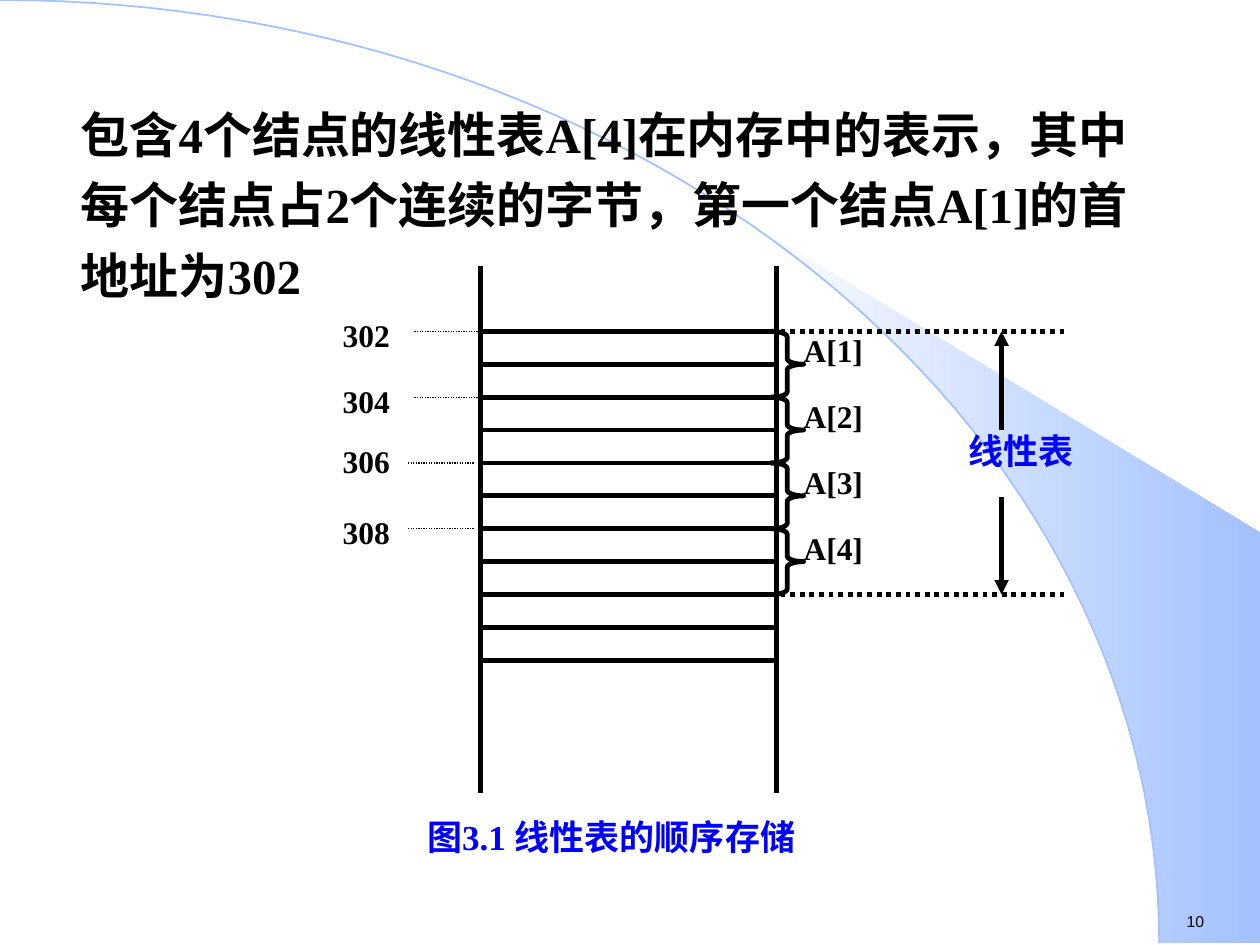
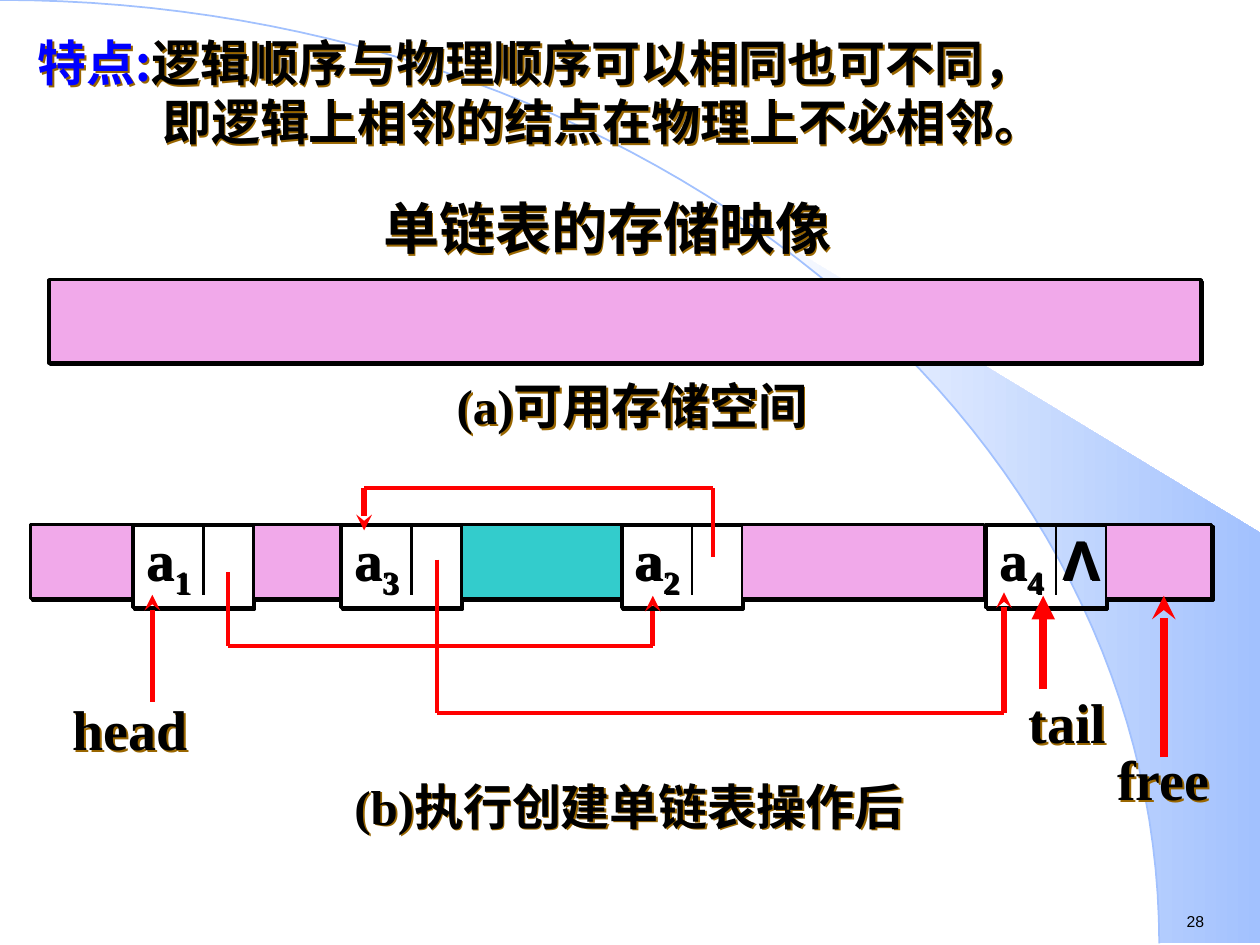
from dataclasses import dataclass
from math import asin, cos, pi, sin
from typing import Any, NamedTuple

from lxml.etree import SubElement
from pptx import Presentation
from pptx.dml.color import RGBColor
from pptx.enum.dml import MSO_LINE
from pptx.enum.shapes import MSO_CONNECTOR, MSO_SHAPE
from pptx.enum.text import MSO_ANCHOR, MSO_AUTO_SIZE, PP_ALIGN
from pptx.oxml.ns import qn
from pptx.util import Cm, Pt

BLACK, BLUE, RED = "000000", "0000FF", "FF0000"
SKY, WHITE, PINK, TEAL, BROWN = "A2C1FE", "FFFFFF", "F1A9EA", "33CCCC", "996600"
SERIF, SANS, HAN = "Times New Roman", "Arial", "Noto Sans CJK SC"
WIDE, HIGH = 25.4, 19.05
ARC_X, ARC_Y = 23.37, 19.02
PLAIN = dict(margin_left=0, margin_right=0, margin_top=0, margin_bottom=0)
PADDED = dict(margin_left=Cm(0.25), margin_right=Cm(0.25),
              margin_top=Cm(0.13), margin_bottom=Cm(0.13))
CENTER = dict(alignment=PP_ALIGN.CENTER)


class Box(NamedTuple):
    """Place and size in centimetres."""
    x: float
    y: float
    w: float
    h: float


class Run(NamedTuple):
    """A piece of text with its look."""
    text: str
    size: float = 18
    color: str = BLACK
    font: str = SERIF
    bold: bool = True
    base: int = 0


@dataclass
class Node:
    """A list node with its subscript and an optional end mark."""
    x: float
    sub: str
    mark: str = ""


@dataclass
class Cell:
    """A filled stretch of memory."""
    x: float
    w: float
    color: str = PINK


@dataclass
class Link:
    """A route of straight lines that ends in an arrowhead."""
    stops: list[tuple[float, float]]
    width: float = 3
    head: str = "stealth"


def ink(code: str) -> RGBColor:
    """Turn a hex string into a colour."""
    return RGBColor.from_string(code)


def put(item: Any, values: dict) -> None:
    """Set every attribute named in the dict."""
    for name, value in values.items():
        setattr(item, name, value)


def place(shape: Any, box: Box) -> None:
    """Move and size a shape."""
    put(shape, dict(zip(("left", "top", "width", "height"), map(Cm, box))))


def shade(shape: Any, color: str) -> None:
    """Give a shape a small hard shadow to the lower right."""
    shape.shadow.inherit = False
    effects = shape._element.spPr.find(qn("a:effectLst"))
    outer = SubElement(effects, qn("a:outerShdw"), dist="17780", dir="2700000",
                       algn="ctr", rotWithShape="0")
    SubElement(outer, qn("a:srgbClr"), val=color)


def write(shape: Any, runs: list[Run], frame: dict = PLAIN, para: dict = {},
          indent: tuple[float, float] = (0, 0), tab: float = 0) -> None:
    """Fill a shape with one formatted paragraph."""
    text = shape.text_frame
    put(text, dict(word_wrap=True, auto_size=MSO_AUTO_SIZE.NONE,
                   vertical_anchor=MSO_ANCHOR.TOP) | frame)
    line = text.paragraphs[0]
    props = line._p.get_or_add_pPr()
    props.set("marL", str(Cm(indent[0])))
    props.set("indent", str(Cm(indent[1])))
    SubElement(props, qn("a:buNone"))
    if tab:
        stops = SubElement(props, qn("a:tabLst"))
        SubElement(stops, qn("a:tab"), pos=str(Cm(tab)), algn="l")
    put(line, dict(alignment=PP_ALIGN.LEFT, space_before=Pt(0)) | para)
    for part in runs:
        run = line.add_run()
        run.text = part.text
        put(run.font, dict(size=Pt(part.size), bold=part.bold, name=part.font))
        run.font.color.rgb = ink(part.color)
        look = run._r.get_or_add_rPr()
        SubElement(look, qn("a:ea"), typeface=HAN)
        if part.base:
            look.set("baseline", str(part.base))


def label(slide: Any, box: Box, run: Run, **form: Any) -> Any:
    """Add a text box with one run."""
    shape = slide.shapes.add_textbox(*map(Cm, box))
    write(shape, [run], **form)
    return shape


def block(slide: Any, box: Box, fill: str = "", width: float = 1.5) -> Any:
    """Add a shadowed rectangle with a black edge."""
    shape = slide.shapes.add_shape(MSO_SHAPE.RECTANGLE, *map(Cm, box))
    if fill:
        shape.fill.solid()
        shape.fill.fore_color.rgb = ink(fill)
    else:
        shape.fill.background()
    shape.line.color.rgb = ink(BLACK)
    shape.line.width = Pt(width)
    shade(shape, BLACK)
    return shape


def rule(slide: Any, start: tuple[float, float], end: tuple[float, float],
         width: float = 2.75, color: str = BLACK, dots: bool = False,
         head: str = "") -> None:
    """Draw a straight line, dotted or with an arrowhead if asked."""
    item = slide.shapes.add_connector(MSO_CONNECTOR.STRAIGHT, *map(Cm, start + end))
    item.line.color.rgb = ink(color)
    item.line.width = Pt(width)
    if dots:
        item.line.dash_style = MSO_LINE.ROUND_DOT
    if head:
        SubElement(item.line._ln, qn("a:tailEnd"), type=head)
    SubElement(item._element.spPr, qn("a:effectLst"))


def curve(first: float, count: int = 60) -> list[tuple[int, int]]:
    """List points on the quarter ellipse from an angle to its end."""
    turns = [first + (pi / 2 - first) * i / count for i in range(count + 1)]
    return [(Cm(ARC_X * sin(t)), Cm(ARC_Y * (1 - cos(t)))) for t in turns]


def trace(slide: Any, points: list[tuple[int, int]], close: bool) -> Any:
    """Build a freeform through the points."""
    pen = slide.shapes.build_freeform(*points[0])
    pen.add_line_segments(points[1:], close=close)
    shape = pen.convert_to_shape()
    shape.shadow.inherit = False
    return shape


def backdrop(slide: Any) -> None:
    """Draw the sweep and arc and hand them to the layout."""
    corner = [(Cm(WIDE), Cm(ARC_Y)), (Cm(WIDE), Cm(10.74))]
    sweep = trace(slide, curve(asin(0.64)) + corner, True)
    sweep.fill.gradient()
    sweep.fill.gradient_angle = 0
    for stop, color in zip(sweep.fill.gradient_stops, (WHITE, SKY)):
        stop.color.rgb = ink(color)
    sweep.line.fill.background()
    arc = trace(slide, curve(0), False)
    arc.fill.background()
    arc.line.color.rgb = ink(SKY)
    arc.line.width = Pt(1)
    for shape in (sweep, arc):
        slide.slide_layout.shapes.element.append(shape._element)


def number(slide: Any, text: str) -> None:
    """Add the page number."""
    label(slide, Box(23.67, 18.26, 1.73, 0.64), Run(text, 9, font=SANS, bold=False),
          frame=PADDED)


def row(index: int) -> float:
    """Give the height of a memory row's upper line."""
    return 6.68 + 6.63 * index / 10


def array(slide: Any) -> None:
    """Draw the sequential list in memory."""
    title, body = slide.placeholders
    title._element.getparent().remove(title._element)
    place(body, Box(0.41, 1.73, 23.29, 14.07))
    write(body, [Run("包含4个结点的线性表A[4]在内存中的表示，其中每个结点占2个连续的字节，"
                     "第一个结点A[1]的首地址为302", 28)],
          frame=PADDED, para=dict(line_spacing=1.2), indent=(0.97, 0))
    label(slide, Box(8.61, 16.43, 9.98, 1.17), Run("图3.1 线性表的顺序存储", 20, BLUE))
    label(slide, Box(19.53, 8.66, 4.65, 1.32), Run("线性表", 20, BLUE))
    left, right, edge = 9.68, 15.65, 15.54
    for x in (left, right):
        rule(slide, (x, 5.36), (x, 15.98))
    for i in range(11):
        rule(slide, (left, row(i)), (right, row(i)))
    marks = zip((6.38, 7.7, 8.92, 10.34), (left, left, 9.55, 9.55))
    for i, (top, x) in enumerate(marks):
        y = row(2 * i)
        label(slide, Box(6.91, top, 1.32, 1), Run(str(302 + 2 * i)))
        rule(slide, (x, y), (x - 1.34, y), 0.75, dots=True)
        brace = slide.shapes.add_shape(MSO_SHAPE.RIGHT_BRACE,
                                       *map(Cm, Box(edge, y, 0.66, 1.33)))
        brace.adjustments[0] = 0.17
        brace.fill.background()
        brace.line.color.rgb = ink(BLACK)
        brace.line.width = Pt(2.75)
        brace.shadow.inherit = False
        label(slide, Box(16.2, y, 2, 1.32), Run(f"A[{i + 1}]"))
    for start, end in ((8.66, row(0)), (10.01, row(8))):
        rule(slide, (edge, end), (21.54, end), dots=True)
        rule(slide, (20.19, start), (20.19, end), head="triangle")


NODES = [Node(2.67, "1"), Node(6.86, "3"), Node(12.52, "2"), Node(19.86, "4", "Λ")]
CELLS = [Cell(5.11, 1.75), Cell(22.3, 2.13), Cell(14.96, 4.88),
         Cell(9.3, 3.23, TEAL), Cell(0.61, 2.06)]
LINKS = [
    Link([(3.07, 14.15), (3.07, 11.99)]),
    Link([(4.6, 11.53), (4.6, 13.03), (13.16, 13.03), (13.16, 12.01)]),
    Link([(14.38, 11.23), (14.38, 9.83), (7.34, 9.83), (7.34, 10.69)]),
    Link([(8.81, 11.28), (8.81, 14.38), (20.24, 14.38), (20.24, 11.94)]),
    Link([(21.03, 13.89), (21.03, 12.01)], 4.5, "triangle"),
]
FREE = Link([(23.46, 15.27), (23.46, 12.01)], 4.5)
NOTES = [
    (Box(8.31, 7.57, 8.86, 1.32), "(a)可用存储空间", 28),
    (Box(6.38, 15.65, 12.6, 1.32), "(b)执行创建单链表操作后", 28),
    (Box(1.04, 14, 3.18, 1.5), "head", 32),
    (Box(20.35, 13.87, 2.34, 1.5), "tail", 32),
    (Box(22.3, 15.01, 2.31, 1.5), "free", 32),
]


def join(slide: Any, link: Link) -> None:
    """Draw a link leg by leg with the arrowhead on the last."""
    legs = list(zip(link.stops, link.stops[1:]))
    for start, end in legs[:-1]:
        rule(slide, start, end, 2.25, RED)
    rule(slide, *legs[-1], link.width, RED, head=link.head)


def chain(slide: Any) -> None:
    """Draw the linked list in memory."""
    title, body = slide.placeholders
    place(title, Box(3, 3.91, 18.49, 1.5))
    write(title, [Run("单链表的存储映像", 32)], para=CENTER)
    place(body, Box(0.51, 0.53, 20.9, 2.64))
    write(body, [Run("特点:", 28, BLUE, HAN),
                 Run("逻辑顺序与物理顺序可以相同也可不同，即逻辑上相邻的结点在物理上不必相邻。",
                     28, font=HAN)], frame=PADDED, indent=(2.51, -2.51))
    for shape in (title, body):
        shade(shape, BROWN)
    block(slide, Box(0.99, 5.64, 23.22, 1.68), PINK, 2)
    top = 10.57
    for node in NODES:
        runs = [Run("a", 32), Run(node.sub, 32, base=-25000)]
        if node.mark:
            runs.append(Run("\t" + node.mark, 32, font=SANS))
        shape = block(slide, Box(node.x, top, 2.44, 1.68))
        write(shape, runs, frame=PLAIN | dict(margin_left=Cm(0.28)),
              para=dict(line_spacing=0.95), tab=1.22)
        rule(slide, (node.x + 1.43, top), (node.x + 1.43, 11.99), 1.5)
    for link in LINKS:
        join(slide, link)
    for cell in CELLS:
        block(slide, Box(cell.x, top, cell.w, 1.5), cell.color)
    join(slide, FREE)
    for box, text, size in NOTES:
        shade(label(slide, box, Run(text, size), para=CENTER), BROWN)


def main() -> None:
    """Build both slides and save them."""
    deck = Presentation()
    put(deck, dict(slide_width=Cm(WIDE), slide_height=Cm(HIGH)))
    layout = deck.slide_layouts[1]
    first, second = (deck.slides.add_slide(layout) for _ in range(2))
    backdrop(first)
    for slide, page, draw in ((first, "10", array), (second, "28", chain)):
        number(slide, page)
        draw(slide)
    deck.save("out.pptx")


if __name__ == "__main__":
    main()
